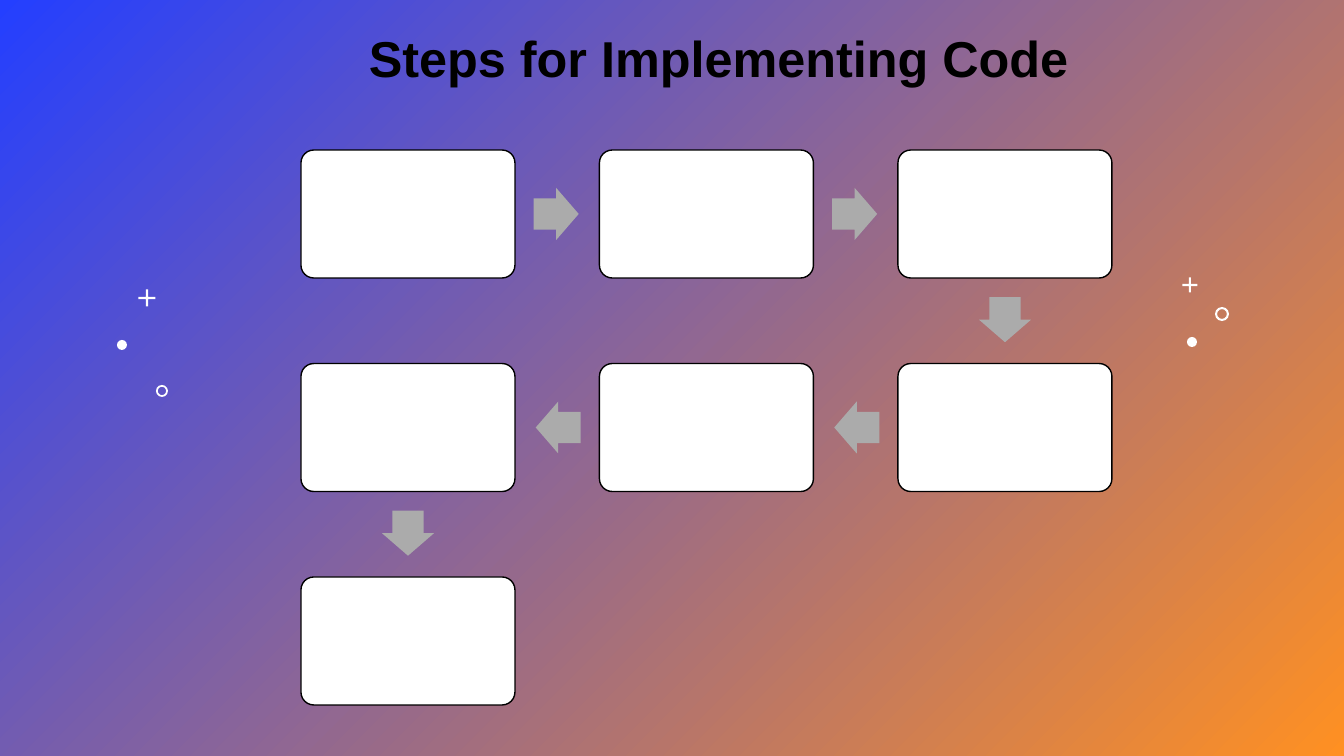
"""Build a slide with a winding seven-step process on a gradient background."""
from itertools import pairwise

from pptx import Presentation
from pptx.dml.color import RGBColor
from pptx.enum.shapes import MSO_SHAPE
from pptx.util import Pt

BOX = MSO_SHAPE.ROUNDED_RECTANGLE
ARROW = MSO_SHAPE.RIGHT_ARROW
DOT, RING, PLUS = MSO_SHAPE.OVAL, MSO_SHAPE.DONUT, MSO_SHAPE.CROSS

TITLE = "Steps for Implementing Code"
TITLE_AREA = (359, 22, 811, 72)
GRADIENT = ("243FFF", "FF9022")
WHITE, BLACK, GREY = "FFFFFF", "000000", "ABABAB"

STEPS = [(0, 0), (1, 0), (2, 0), (2, 1), (1, 1), (0, 1), (0, 2)]
FIRST_CENTER = (408, 214)
LAST_CENTER = (1005, 641)
BOX_SIZE = (214, 128)
ARROW_SIZE = (45, 52)
ARROW_SETBACK = 1
ROTATION = {(1, 0): 0, (0, 1): 90, (-1, 0): 180}

DECORATIONS = [
    (DOT, 1192, 342, 10, []),
    (PLUS, 1190, 285, 15, [0.43]),
    (RING, 1222, 314, 14, [0.15]),
    (PLUS, 147, 298, 17, [0.43]),
    (DOT, 122, 345, 10, []),
    (RING, 162, 391, 12, [0.15]),
]


def px(length):
    return round(length * 914400 / 100.8)


def color(value):
    return RGBColor.from_string(value)


def add_centered(slide, kind, center, size, fill, adjustments):
    corner = [c - s / 2 for c, s in zip(center, size)]
    shape = slide.shapes.add_shape(kind, *map(px, (*corner, *size)))
    shape.shadow.inherit = False
    shape.fill.solid()
    shape.fill.fore_color.rgb = color(fill)
    shape.line.fill.background()
    for index, value in enumerate(adjustments):
        shape.adjustments[index] = value
    return shape


def step_center(step):
    return [first + (last - first) * cell / 2
            for first, last, cell in zip(FIRST_CENTER, LAST_CENTER, step)]


def add_background(slide):
    fill = slide.background.fill
    fill.gradient()
    fill.gradient_angle = 315
    for stop, value in zip(fill.gradient_stops, GRADIENT):
        stop.color.rgb = color(value)


def add_steps(slide):
    for step in STEPS:
        box = add_centered(slide, BOX, step_center(step), BOX_SIZE, WHITE, [0.1])
        box.line.color.rgb = color(BLACK)
        box.line.width = Pt(1)
    for start, end in pairwise(STEPS):
        direction = tuple(b - a for a, b in zip(start, end))
        center = [(a + b) / 2 - ARROW_SETBACK * d
                  for a, b, d in zip(step_center(start), step_center(end), direction)]
        arrow = add_centered(slide, ARROW, center, ARROW_SIZE, GREY, [0.6, 0.5])
        arrow.rotation = ROTATION[direction]


def add_title(slide):
    frame = slide.shapes.add_textbox(*map(px, TITLE_AREA)).text_frame
    frame.word_wrap = True
    paragraph = frame.paragraphs[0]
    paragraph.text = TITLE
    font = paragraph.font
    font.name, font.size, font.bold = "Arial", Pt(36), True
    font.color.rgb = color(BLACK)


def main():
    deck = Presentation()
    deck.slide_width, deck.slide_height = px(1344), px(756)
    slide = deck.slides.add_slide(deck.slide_layouts[6])
    add_background(slide)
    for kind, x, y, size, adjustments in DECORATIONS:
        add_centered(slide, kind, (x, y), (size, size), WHITE, adjustments)
    add_steps(slide)
    add_title(slide)
    deck.save("out.pptx")


if __name__ == "__main__":
    main()
